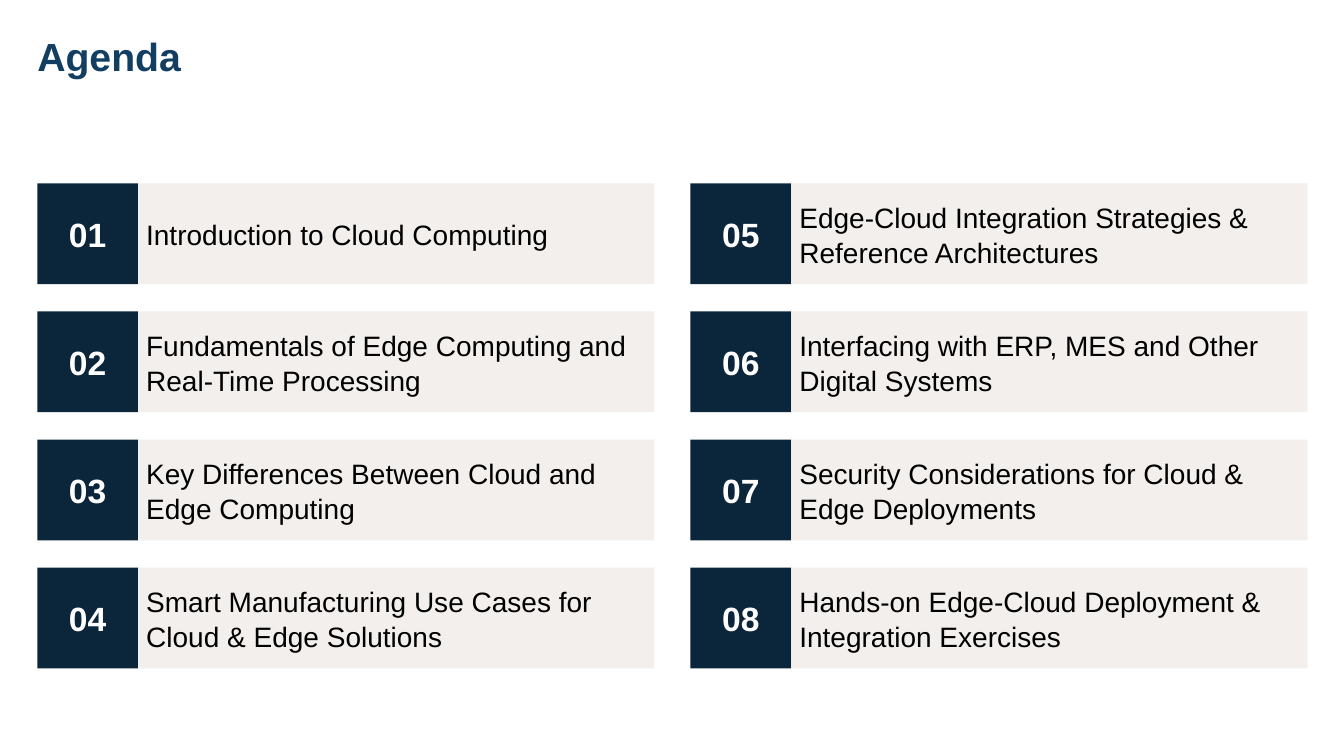
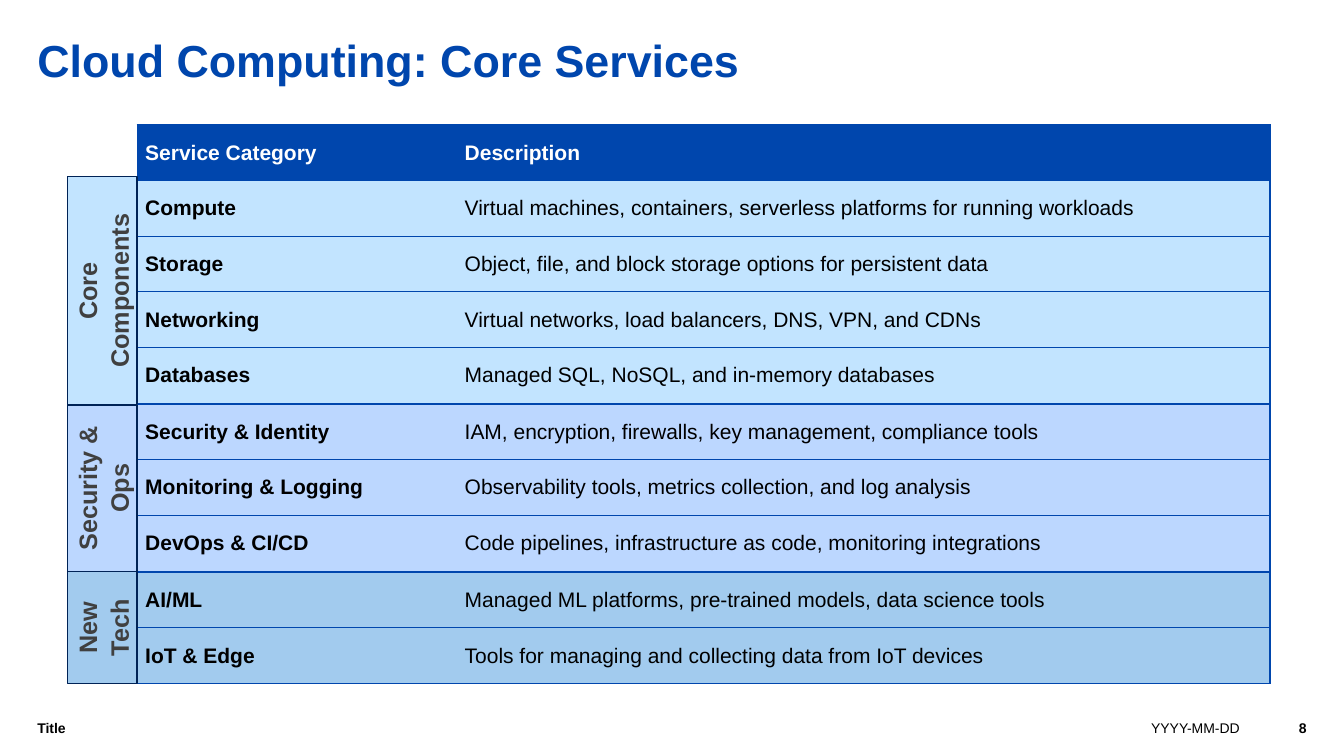
from dataclasses import dataclass
from itertools import accumulate

from lxml.etree import SubElement
from pptx import Presentation
from pptx.dml.color import RGBColor
from pptx.enum.shapes import MSO_SHAPE
from pptx.enum.text import MSO_ANCHOR, MSO_AUTO_SIZE, PP_ALIGN
from pptx.oxml.ns import qn
from pptx.util import Pt


@dataclass(frozen=True)
class Theme:
    font: str = "Arial"
    # Colours
    white: str = "FFFFFF"
    black: str = "000000"
    agenda_title: str = "123E62"
    number_fill: str = "0B253B"
    topic_fill: str = "F2EFED"
    blue: str = "0046AD"
    label_line: str = "002356"
    label_text: str = "404040"
    core: str = "C2E4FF"
    security: str = "BCD7FF"
    new_tech: str = "A2CBEE"
    # Type sizes
    agenda_title_size: float = 28
    title_size: float = 32
    number_size: float = 24
    topic_size: float = 20
    label_size: float = 18
    table_size: float = 15
    footer_size: float = 10
    # Line spacing
    heading_spacing: float = 1.1
    shape_spacing: float = 1.05


THEME = Theme()
MARGIN = 26.64
INSET = 5.76

TOPICS = [
    "Introduction to Cloud Computing",
    "Fundamentals of Edge Computing and Real-Time Processing",
    "Key Differences Between Cloud and Edge Computing",
    "Smart Manufacturing Use Cases for Cloud & Edge Solutions",
    "Edge-Cloud Integration Strategies & Reference Architectures",
    "Interfacing with ERP, MES and Other Digital Systems",
    "Security Considerations for Cloud & Edge Deployments",
    "Hands-on Edge-Cloud Deployment & Integration Exercises",
]

HEADER = ("Service Category", "Description")

# Label lines, label length, fill, table rows
SERVICE_GROUPS = [
    (["Core", "Components"], 163, THEME.core, [
        HEADER,
        ("Compute", "Virtual machines, containers, serverless platforms for running workloads"),
        ("Storage", "Object, file, and block storage options for persistent data"),
        ("Networking", "Virtual networks, load balancers, DNS, VPN, and CDNs"),
        ("Databases", "Managed SQL, NoSQL, and in-memory databases"),
    ]),
    (["Security & Ops"], 119, THEME.security, [
        ("Security & Identity", "IAM, encryption, firewalls, key management, compliance tools"),
        ("Monitoring & Logging", "Observability tools, metrics collection, and log analysis"),
        ("DevOps & CI/CD", "Code pipelines, infrastructure as code, monitoring integrations"),
    ]),
    (["New Tech"], 80, THEME.new_tech, [
        ("AI/ML", "Managed ML platforms, pre-trained models, data science tools"),
        ("IoT & Edge", "Tools for managing and collecting data from IoT devices"),
    ]),
]


def rgb(colour):
    return RGBColor.from_string(colour)


def write(frame, lines, size, colour, bold=False, align=PP_ALIGN.LEFT, spacing=1.0):
    for index, line in enumerate(lines):
        paragraph = frame.add_paragraph() if index else frame.paragraphs[0]
        paragraph.alignment = align
        paragraph.line_spacing = spacing
        run = paragraph.add_run()
        run.text = line
        run.font.name = THEME.font
        run.font.size = Pt(size)
        run.font.bold = bold
        run.font.color.rgb = rgb(colour)


def set_frame(frame, inset=0, anchor=MSO_ANCHOR.TOP):
    frame.word_wrap = True
    frame.auto_size = MSO_AUTO_SIZE.NONE
    frame.vertical_anchor = anchor
    frame.margin_left = frame.margin_right = Pt(inset)
    frame.margin_top = frame.margin_bottom = Pt(inset)


def set_title(slide, text, size, colour, width, height):
    title = slide.shapes.title
    title.left, title.top = Pt(MARGIN), Pt(19.44)
    title.width, title.height = Pt(width), Pt(height)
    set_frame(title.text_frame)
    write(title.text_frame, [text], size, colour, True, spacing=THEME.heading_spacing)


def add_box(shapes, left, top, width, height, fill, line=None, inset=0):
    box = shapes.add_shape(MSO_SHAPE.RECTANGLE, Pt(left), Pt(top), Pt(width), Pt(height))
    box.shadow.inherit = False
    box.fill.solid()
    box.fill.fore_color.rgb = rgb(fill)
    if line:
        box.line.color.rgb = rgb(line)
        box.line.width = Pt(0.75)
    else:
        box.line.fill.background()
    set_frame(box.text_frame, inset, MSO_ANCHOR.MIDDLE)
    return box


def add_agenda_card(slide, left, top, number, topic):
    card = slide.shapes.add_group_shape().shapes
    side = 72
    number_box = add_box(card, left, top, side, side, THEME.number_fill, inset=INSET)
    write(number_box.text_frame, [f"{number:02d}"], THEME.number_size, THEME.white,
          True, PP_ALIGN.CENTER)
    topic_box = add_box(card, left + side, top, 368.64, side, THEME.topic_fill, inset=INSET)
    write(topic_box.text_frame, [topic], THEME.topic_size, THEME.black,
          spacing=THEME.shape_spacing)


def add_group_label(slide, top, length, lines, fill):
    left, thickness = 48.2, 49.7
    # The box turns about its centre, so place it by that centre
    label = add_box(slide.shapes, left + (thickness - length) / 2,
                    top + (length - thickness) / 2, length, thickness,
                    fill, THEME.label_line)
    label.rotation = 270
    write(label.text_frame, lines, THEME.label_size, THEME.label_text, True,
          PP_ALIGN.CENTER, THEME.shape_spacing)


def set_borders(cell, open_side):
    properties = cell._tc.get_or_add_tcPr()
    for side in ("lnL", "lnR", "lnT", "lnB"):
        border = SubElement(properties, qn(f"a:{side}"), w=str(Pt(1)))
        if side == open_side:
            SubElement(border, qn("a:noFill"))
        else:
            fill = SubElement(border, qn("a:solidFill"))
            SubElement(fill, qn("a:srgbClr"), val=THEME.blue)


def add_service_table(slide, top, row_height, rows, fill):
    widths = (228.2, 581)
    table = slide.shapes.add_table(len(rows), len(widths), Pt(98), Pt(top), Pt(sum(widths)),
                                   Pt(row_height * len(rows))).table
    table.first_row = table.horz_banding = False
    for column, width in zip(table.columns, widths):
        column.width = Pt(width)
    for row_index, row in enumerate(rows):
        is_header = row is HEADER
        table.rows[row_index].height = Pt(row_height)
        for column_index, text in enumerate(row):
            cell = table.cell(row_index, column_index)
            set_borders(cell, "lnL" if column_index else "lnR")
            cell.fill.solid()
            cell.fill.fore_color.rgb = rgb(THEME.blue if is_header else fill)
            cell.vertical_anchor = MSO_ANCHOR.MIDDLE
            cell.margin_left = cell.margin_right = Pt(INSET)
            cell.margin_top = cell.margin_bottom = Pt(INSET / 2)
            write(cell.text_frame, [text], THEME.table_size,
                  THEME.white if is_header else THEME.black,
                  is_header or column_index == 0)


def add_footer(slide, number):
    for left, width, text, bold, align in (
        (MARGIN, 757.5, "Title", True, PP_ALIGN.LEFT),
        (822.24, 70.6, "YYYY-MM-DD", False, PP_ALIGN.LEFT),
        (898.6, 34.6, number, True, PP_ALIGN.RIGHT),
    ):
        frame = slide.shapes.add_textbox(Pt(left), Pt(512.64), Pt(width), Pt(27.36)).text_frame
        set_frame(frame)
        write(frame, [text], THEME.footer_size, THEME.black, bold, align,
              THEME.heading_spacing)


def build_agenda(slide):
    set_title(slide, "Agenda", THEME.agenda_title_size, THEME.agenda_title, 904.3, 40.3)
    cards_per_column = 4
    for index, topic in enumerate(TOPICS):
        column, row = divmod(index, cards_per_column)
        add_agenda_card(slide, MARGIN + column * 466.56, 131 + row * 91.5, index + 1, topic)


def build_core_services(slide):
    set_title(slide, "Cloud Computing: Core Services", THEME.title_size, THEME.blue, 830.9, 69.8)
    row_height, table_gap = 39.75, 0.75
    table_tops = accumulate((len(rows) * row_height + table_gap
                             for _, _, _, rows in SERVICE_GROUPS), initial=89.25)
    label_tops = accumulate((length for _, length, _, _ in SERVICE_GROUPS), initial=126.25)
    for table_top, label_top, (lines, length, fill, rows) in zip(
            table_tops, label_tops, SERVICE_GROUPS):
        add_service_table(slide, table_top, row_height, rows, fill)
        add_group_label(slide, label_top, length, lines, fill)
    add_footer(slide, "8")


def main():
    deck = Presentation()
    deck.slide_width, deck.slide_height = Pt(960), Pt(540)
    title_only = deck.slide_layouts[5]
    for build in (build_agenda, build_core_services):
        build(deck.slides.add_slide(title_only))
    deck.save("out.pptx")


if __name__ == "__main__":
    main()
